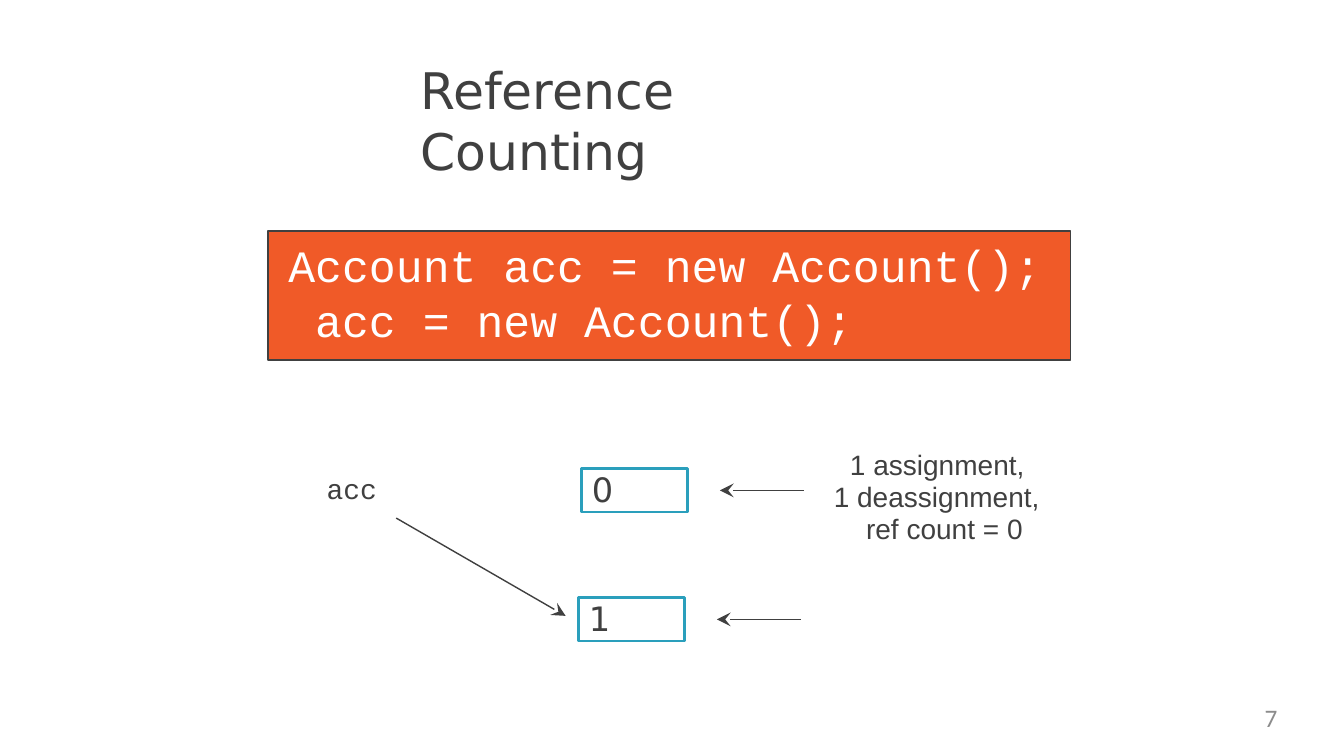
from dataclasses import dataclass

from lxml import etree
from pptx import Presentation
from pptx.dml.color import RGBColor
from pptx.enum.shapes import MSO_CONNECTOR, MSO_SHAPE
from pptx.enum.text import MSO_ANCHOR, MSO_AUTO_SIZE, PP_ALIGN
from pptx.oxml.ns import qn
from pptx.util import Inches, Pt

RECTANGLE, STRAIGHT = MSO_SHAPE.RECTANGLE, MSO_CONNECTOR.STRAIGHT
TOP, NO_FIT = MSO_ANCHOR.TOP, MSO_AUTO_SIZE.NONE
LEFT, RIGHT = PP_ALIGN.LEFT, PP_ALIGN.RIGHT
TITLE_ONLY = 5


@dataclass(frozen=True)
class Theme:
    ink: str = "404040"
    code_fill: str = "F05A28"
    code_ink: str = "FFFFFF"
    box_line: str = "2A9FBC"
    muted: str = "8C8C8C"
    heading: str = "DejaVu Sans"
    mono: str = "Courier New"
    body: str = "Arial"
    footer: str = "Calibri"
    title_size: int = 36
    code_size: int = 32
    count_size: int = 24
    label_size: int = 20
    footer_size: int = 18


THEME = Theme()

# Content
TITLE = "Reference Counting"
CODE = "Account acc = new Account();\v acc = new Account();"
VARIABLE = "acc"
NOTE = ["1 assignment,", "1 deassignment,\vref count = 0"]
NOTE_INDENTS = [(0.17, 0), (0.33, -0.32)]  # left margin, first line
PAGE = "7"

# Object boxes: count, left, top
COUNTS = [("0", 5.77, 4.65), ("1", 5.74, 5.93)]
COUNT_W, COUNT_H = 1.05, 0.43
ARROW_GAP, ARROW_LENGTH = 0.32, 0.83
VARIABLE_ARROW = (3.93, 5.14, 5.61, 6.11)


def color(value):
    return RGBColor.from_string(value)


def write(shape, paragraphs, font, size, ink, inset=0.0, indents=((0, 0),),
          align=LEFT, spacing=None):
    frame = shape.text_frame
    frame.word_wrap, frame.auto_size = True, NO_FIT
    frame.vertical_anchor = TOP
    frame.margin_left = frame.margin_right = frame.margin_bottom = 0
    frame.margin_top = Inches(inset)
    for index, (text, (margin, first)) in enumerate(zip(paragraphs, indents)):
        paragraph = frame.add_paragraph() if index else frame.paragraphs[0]
        paragraph.text = text
        paragraph.alignment = align
        paragraph.space_before = Pt(0)
        if spacing:
            paragraph.line_spacing = spacing
        properties = paragraph._p.get_or_add_pPr()
        properties.set("marL", str(Inches(margin)))
        properties.set("indent", str(Inches(first)))
        paragraph.font.name, paragraph.font.size = font, Pt(size)
        paragraph.font.color.rgb = color(ink)


def add_text(slide, area, *args, **options):
    write(slide.shapes.add_textbox(*map(Inches, area)), *args, **options)


def add_box(slide, area, line, width, fill=None):
    box = slide.shapes.add_shape(RECTANGLE, *map(Inches, area))
    box.shadow.inherit = False
    if fill:
        box.fill.solid()
        box.fill.fore_color.rgb = color(fill)
    else:
        box.fill.background()
    box.line.color.rgb, box.line.width = color(line), Pt(width)
    return box


def add_arrow(slide, *ends):
    arrow = slide.shapes.add_connector(STRAIGHT, *map(Inches, ends))
    arrow.line.color.rgb, arrow.line.width = color(THEME.ink), Pt(1)
    head = etree.SubElement(arrow.line._get_or_add_ln(), qn("a:tailEnd"))
    for key, value in (("type", "stealth"), ("w", "lg"), ("len", "lg")):
        head.set(key, value)
    etree.SubElement(arrow._element.spPr, qn("a:effectLst"))


def main():
    deck = Presentation()
    deck.slide_width, deck.slide_height = Inches(13.33), Inches(7.5)
    slide = deck.slides.add_slide(deck.slide_layouts[TITLE_ONLY])

    title = slide.shapes.title
    title.left, title.top, title.width, title.height = map(
        Inches, (4.16, 0.57, 4.91, 0.63))
    write(title, [TITLE], THEME.heading, THEME.title_size, THEME.ink,
          inset=0.02, indents=[(0.01, 0)])

    code = add_box(slide, (2.66, 2.29, 7.96, 1.28), THEME.ink, 1, THEME.code_fill)
    write(code, [CODE], THEME.mono, THEME.code_size, THEME.code_ink,
          inset=0.06, indents=[(0.2, 0)], spacing=1.02)

    add_arrow(slide, *VARIABLE_ARROW)
    add_text(slide, (3.23, 4.66, 0.6, 0.36), [VARIABLE], THEME.mono,
             THEME.label_size, THEME.ink, inset=0.02, indents=[(0.01, 0)])

    for count, left, top in COUNTS:
        box = add_box(slide, (left, top, COUNT_W, COUNT_H), THEME.box_line, 2)
        write(box, [count], THEME.heading, THEME.count_size, THEME.ink,
              indents=[(0.1, 0)])
        tip, middle = left + COUNT_W + ARROW_GAP, top + COUNT_H / 2
        add_arrow(slide, tip + ARROW_LENGTH, middle, tip, middle)

    add_text(slide, (8.26, 4.43, 2.15, 1), NOTE, THEME.body, THEME.label_size,
             THEME.ink, inset=0.02, indents=NOTE_INDENTS, spacing=Pt(23))
    add_text(slide, (9.6, 6.97, 3.07, 0.38), [PAGE], THEME.footer,
             THEME.footer_size, THEME.muted, align=RIGHT)
    deck.save("out.pptx")


if __name__ == "__main__":
    main()
